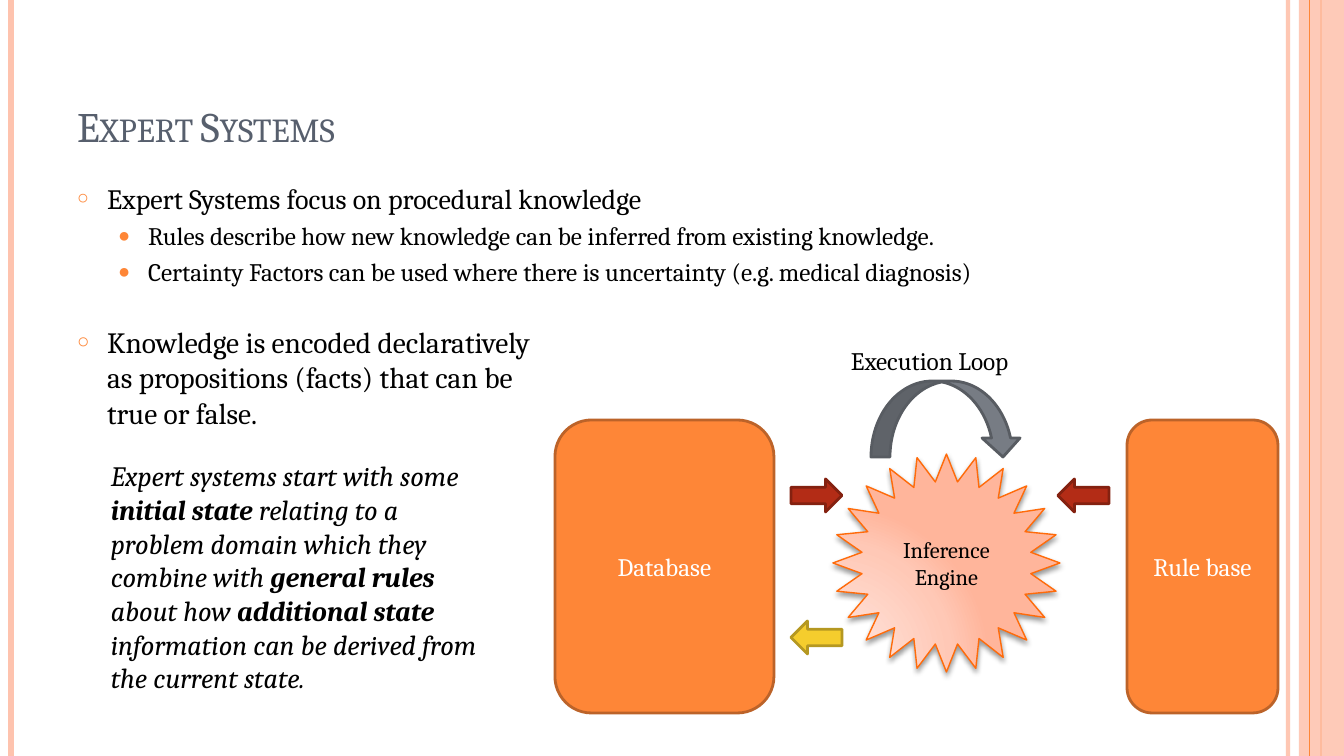
from dataclasses import dataclass

from lxml.etree import SubElement
from pptx import Presentation
from pptx.dml.color import RGBColor
from pptx.enum.shapes import MSO_CONNECTOR, MSO_SHAPE
from pptx.enum.text import MSO_ANCHOR, MSO_AUTO_SIZE, PP_ALIGN
from pptx.oxml import parse_xml
from pptx.oxml.ns import nsdecls, qn
from pptx.util import Emu, Pt

EMU_PER_PX = 914400 / 100.8


@dataclass(frozen=True)
class Theme:
    font: str = "Cambria"
    title_color: str = "575F6D"
    text: str = "000000"
    white: str = "FFFFFF"
    orange: str = "FE8637"
    orange_edge: str = "BC6329"
    peach: str = "FEC3AE"
    red: str = "B32C16"
    red_edge: str = "842110"
    yellow: str = "F5CD2D"
    yellow_edge: str = "B59821"
    gray: str = "777C84"
    gray_edge: str = "585C62"
    star_edge: str = "FF6B0A"
    star_stops: tuple = ((0, "FFDED5"), (30, "FFDBD0"), (75, "FFC8B6"), (100, "FFB59B"))
    title_size: int = 30
    fact_size: int = 21
    point_size: int = 20
    label_size: int = 18
    star_size: int = 16


def px(length):
    return Emu(round(length * EMU_PER_PX))


def rgb(color):
    return RGBColor.from_string(color)


def set_alpha(shape, percent):
    color = shape._element.spPr.find(f".//{qn('a:srgbClr')}")
    SubElement(color, qn("a:alpha"), val=str(percent * 1000))


def write_runs(paragraph, text):
    """Fill a paragraph; *...* marks bold words and a newline breaks the line."""
    for part_no, part in enumerate(text.split("*")):
        for line_no, line in enumerate(part.split("\n")):
            if line_no:
                paragraph.add_line_break()
            if line:
                run = paragraph.add_run()
                run.text = line
                if part_no % 2:
                    run.font.bold = True


class SlideBuilder:
    def __init__(self, slide, theme):
        self.slide = slide
        self.theme = theme

    def style(self, paragraph, size, color, italic=None):
        font = paragraph.font
        font.name, font.size, font.italic = self.theme.font, Pt(size), italic
        font.color.rgb = rgb(color)

    def place(self, placeholder, box, anchor):
        placeholder.left, placeholder.top, placeholder.width, placeholder.height = map(px, box)
        frame = placeholder.text_frame
        frame.auto_size = MSO_AUTO_SIZE.NONE
        frame.vertical_anchor = anchor
        return frame

    def title(self, text, box):
        frame = self.place(self.slide.shapes.title, box, MSO_ANCHOR.BOTTOM)
        heading = frame.paragraphs[0]
        write_runs(heading, text)
        heading.alignment = PP_ALIGN.LEFT
        self.style(heading, self.theme.title_size, self.theme.title_color)
        for run in heading.runs:
            run._r.get_or_add_rPr().set("cap", "small")

    def bullets(self, items, box):
        """items: (level, size, space before in points, text)."""
        frame = self.place(self.slide.placeholders[1], box, MSO_ANCHOR.TOP)
        looks = (("○", 70, 30), ("●", 80, 71))
        for index, (level, size, space, text) in enumerate(items):
            item = frame.add_paragraph() if index else frame.paragraphs[0]
            mark, mark_size, indent = looks[level]
            write_runs(item, text)
            item.level = level
            item.space_before = Pt(space)
            props = item._p.get_or_add_pPr()
            props.set("marL", str(px(indent)))
            props.set("indent", str(px(-30)))
            color = SubElement(props, qn("a:buClr"))
            SubElement(color, qn("a:srgbClr"), val=self.theme.orange)
            SubElement(props, qn("a:buSzPct"), val=str(mark_size * 1000))
            SubElement(props, qn("a:buChar"), char=mark)
            self.style(item, size, self.theme.text)

    def rule(self, x, color, width, alpha=100):
        """Full-height vertical line."""
        line = self.slide.shapes.add_connector(
            MSO_CONNECTOR.STRAIGHT, px(x), 0, px(x), px(756))
        line.line.color.rgb = rgb(color)
        line.line.width = Pt(width)
        if alpha < 100:
            set_alpha(line, alpha)
        SubElement(line._element.spPr, qn("a:effectLst"))

    def shape(self, kind, box, fill, edge=None, edge_width=2, flip=False):
        shape = self.slide.shapes.add_shape(kind, *map(px, box))
        shape.shadow.inherit = False
        shape.fill.solid()
        shape.fill.fore_color.rgb = rgb(fill)
        if edge:
            shape.line.color.rgb = rgb(edge)
            shape.line.width = Pt(edge_width)
        else:
            shape.line.fill.background()
        if flip:
            shape._element.spPr.find(qn("a:xfrm")).set("flipH", "1")
        return shape

    def caption(self, shape, lines, size, color):
        frame = shape.text_frame
        frame.vertical_anchor = MSO_ANCHOR.MIDDLE
        for index, text in enumerate(lines):
            line = frame.add_paragraph() if index else frame.paragraphs[0]
            write_runs(line, text)
            line.alignment = PP_ALIGN.CENTER
            self.style(line, size, color)

    def store(self, label, box):
        block = self.shape(MSO_SHAPE.ROUNDED_RECTANGLE, box,
                           self.theme.orange, self.theme.orange_edge)
        self.caption(block, [label], self.theme.label_size, self.theme.white)

    def engine(self, lines, box):
        theme = self.theme
        star = self.shape(MSO_SHAPE.STAR_24_POINT, box, theme.peach, theme.star_edge, 1)
        stops = "".join(f'<a:gs pos="{pos * 1000}"><a:srgbClr val="{color}"/></a:gs>'
                        for pos, color in theme.star_stops)
        props = star._element.spPr
        props.replace(props.find(qn("a:solidFill")), parse_xml(
            f'<a:gradFill {nsdecls("a")}><a:gsLst>{stops}</a:gsLst><a:path path="circle">'
            '<a:fillToRect l="5000" t="100000" r="120000" b="10000"/></a:path></a:gradFill>'))
        props.find(qn("a:effectLst")).append(parse_xml(
            f'<a:outerShdw {nsdecls("a")} blurRad="{Pt(4)}" dist="{Pt(2)}" dir="5400000" '
            'rotWithShape="0"><a:srgbClr val="000000"><a:alpha val="40000"/></a:srgbClr>'
            '</a:outerShdw>'))
        self.caption(star, lines, theme.star_size, theme.text)

    def note(self, text, box, size, wrap=True, italic=None):
        frame = self.slide.shapes.add_textbox(*map(px, box)).text_frame
        frame.word_wrap = wrap
        write_runs(frame.paragraphs[0], text)
        self.style(frame.paragraphs[0], size, self.theme.text, italic)


def main():
    deck = Presentation()
    deck.slide_width, deck.slide_height = px(1344), px(756)
    theme = Theme()
    page = SlideBuilder(deck.slides.add_slide(deck.slide_layouts[1]), theme)

    page.rule(1288, theme.peach, 3, alpha=93)
    page.rule(11, theme.peach, 4.5)
    page.rule(1321, theme.orange, 1.5)
    set_alpha(page.shape(MSO_SHAPE.RECTANGLE, (1299, 0, 45, 756), theme.peach), 87)
    page.rule(1310, theme.orange, 0.75)

    page.title("Expert Systems", (67, 30, 1098, 126))
    page.bullets([
        (0, theme.point_size, 0, "Expert Systems focus on procedural knowledge"),
        (1, theme.label_size, 4,
         "Rules describe how new knowledge can be inferred from existing knowledge."),
        (1, theme.label_size, 4,
         "Certainty Factors can be used where there is uncertainty (e.g. medical diagnosis)"),
        (0, theme.fact_size, 27,
         "Knowledge is encoded declaratively \nas propositions (facts) that can be\ntrue or false."),
    ], (67, 176, 1098, 538))

    page.store("Database", (555, 420, 219, 293))
    page.store("Rule base", (1127, 420, 151, 293))
    page.engine(["Inference", "Engine"], (833, 454, 227, 218))
    for x, y, fill, edge, flip in (
        (791, 479, theme.red, theme.red_edge, False),
        (1058, 479, theme.red, theme.red_edge, True),
        (791, 621, theme.yellow, theme.yellow_edge, True),
    ):
        page.shape(MSO_SHAPE.RIGHT_ARROW, (x, y, 51, 33), fill, edge, flip=flip)
    page.shape(MSO_SHAPE.CURVED_DOWN_ARROW, (871, 381, 151, 76), theme.gray, theme.gray_edge)

    page.note("Execution Loop", (841, 340, 203, 40), theme.label_size, wrap=False)
    page.note(
        "Expert systems start with some \n*initial state *relating to a \n"
        "problem domain which they \ncombine with *general rules \n*about how "
        "*additional state \n*information can be derived from \nthe current state.",
        (101, 454, 454, 248), theme.point_size, italic=True)
    deck.save("out.pptx")


if __name__ == "__main__":
    main()
